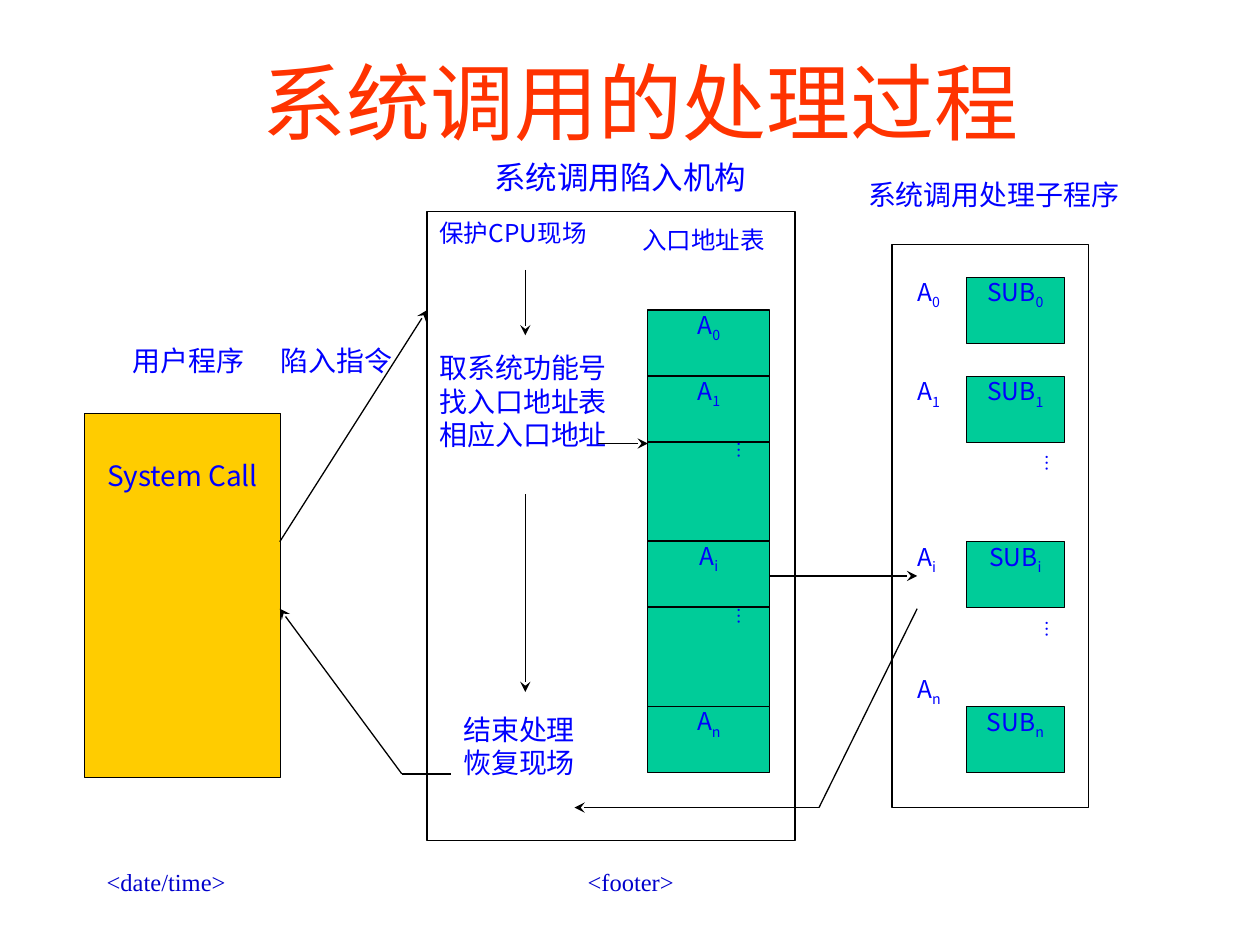
from lxml import etree
from pptx import Presentation
from pptx.dml.color import RGBColor
from pptx.enum.shapes import MSO_CONNECTOR, MSO_SHAPE
from pptx.enum.text import MSO_ANCHOR, PP_ALIGN
from pptx.oxml.ns import qn
from pptx.util import Cm, Pt

STRAIGHT = MSO_CONNECTOR.STRAIGHT
RECTANGLE = MSO_SHAPE.RECTANGLE
TOP, MIDDLE = MSO_ANCHOR.TOP, MSO_ANCHOR.MIDDLE
CENTER, LEFT, JUSTIFY = PP_ALIGN.CENTER, PP_ALIGN.LEFT, PP_ALIGN.JUSTIFY

SANS, SERIF = "Noto Sans CJK JP", "Times New Roman"
COLORS = {"text": "0000FF", "title": "FF3300", "footer": "0000CC",
          "program": "FFCC00", "entry": "00CC99", "line": "000000"}
PADDED = (0.25, 0.13, 0.25, 0.13)
ENTRIES = ("0", "1", "…", "i", "…", "n")
ENTRY_HEIGHT, DOTS_HEIGHT = 1.33, 2.0


def color(name):
    return RGBColor.from_string(COLORS[name])


def write(shape, text, size=16, font=SANS, ink="text", align=JUSTIFY,
          anchor=TOP, insets=(0, 0, 0, 0), vertical=False):
    """Fill a shape with lines of text; "_" starts a subscript."""
    frame = shape.text_frame
    frame.word_wrap = True
    frame.vertical_anchor = anchor
    (frame.margin_left, frame.margin_top,
     frame.margin_right, frame.margin_bottom) = map(Cm, insets)
    if vertical:
        frame._txBody.bodyPr.set("vert", "eaVert")
    for index, line in enumerate(text.split("\n")):
        paragraph = frame.add_paragraph() if index else frame.paragraphs[0]
        paragraph.alignment = align
        base, _, subscript = line.partition("_")
        for part in filter(None, (base, subscript)):
            run = paragraph.add_run()
            run.text = part
            run.font.size = Pt(size)
            run.font.name = font
            run.font.color.rgb = color(ink)
            properties = run._r.get_or_add_rPr()
            etree.SubElement(properties, qn("a:ea")).set("typeface", SANS)
        if subscript:
            properties.set("baseline", "-25000")


def label(slide, left, top, width, height, text, **style):
    box = slide.shapes.add_textbox(Cm(left), Cm(top), Cm(width), Cm(height))
    write(box, text, **style)


def block(slide, left, top, width, height, fill=None):
    shape = slide.shapes.add_shape(
        RECTANGLE, Cm(left), Cm(top), Cm(width), Cm(height))
    shape.shadow.inherit = False
    if fill:
        shape.fill.solid()
        shape.fill.fore_color.rgb = color(fill)
    else:
        shape.fill.background()
    shape.line.color.rgb = color("line")
    shape.line.width = Pt(0.75)
    return shape


def arrow(slide, *points):
    """Join the points with lines and put an arrowhead on the last one."""
    for start, end in zip(points, points[1:]):
        line = slide.shapes.add_connector(STRAIGHT, *map(Cm, start + end))
        line.line.color.rgb = color("line")
        line.line.width = Pt(0.75)
        etree.SubElement(line._element.spPr, qn("a:effectLst"))
    head = etree.SubElement(line.line._get_or_add_ln(), qn("a:tailEnd"))
    head.set("type", "stealth")


def stack_entries(top, first_gap=0):
    """Yield symbol, top and height of each entry from the top down."""
    for index, symbol in enumerate(ENTRIES):
        height = DOTS_HEIGHT if symbol == "…" else ENTRY_HEIGHT
        yield symbol, top, height
        top += height + (0 if index else first_gap)


def user_program(slide, left, top, width, height):
    write(block(slide, left, top, width, height, "program"), "System Call",
          align=CENTER, insets=(0.25, 0.91, 0.25, 0.13))
    label(slide, left + 0.97, top - 1.4, 2.46, 1.32, "用户程序")
    label(slide, left + width, top - 1.4, 2.46, 1.32, "陷入指令")


def address_table(slide, left, top, width):
    for symbol, y, height in stack_entries(top):
        cell = block(slide, left, y, width, height, "entry")
        if symbol == "…":
            write(cell, symbol, size=10, align=CENTER, vertical=True,
                  insets=(0, 0, 0.4, 0))
        else:
            write(cell, f"A_{symbol}", size=14, align=CENTER)


def trap_mechanism(slide, left, top, width, height):
    block(slide, left, top, width, height)
    label(slide, left + 1.35, top - 1.09, 5.28, 0.76, "系统调用陷入机构", size=18)
    label(slide, left, top, 3.96, 2.13, "保护CPU现场", size=14, insets=PADDED)
    label(slide, left + 4.09, top + 0.13, 3.18, 1.24, "入口地址表",
          size=14, insets=PADDED)
    label(slide, left, top + 2.67, 3.96, 3.02,
          "取系统功能号\n找入口地址表\n相应入口地址", insets=PADDED)
    label(slide, left + 0.48, top + 9.96, 2.97, 2.26, "结束处理\n恢复现场",
          insets=PADDED)
    address_table(slide, left + 4.45, top + 1.98, 2.46)
    step_x = left + 1.98
    arrow(slide, (step_x, top + 1.17), (step_x, top + 2.49))
    arrow(slide, (step_x, top + 5.69), (step_x, top + 9.68))
    arrow(slide, (left + 3.45, top + 4.67), (left + 4.45, top + 4.67))


def subroutines(slide, left, top, width, height):
    block(slide, left, top, width, height)
    label(slide, left - 0.48, top - 1.35, 5.36, 1.35, "系统调用处理子程序")
    sub_left, sub_width = left + 1.5, 1.98
    for symbol, y, entry_height in stack_entries(top + 0.66, first_gap=0.67):
        if symbol == "…":
            label(slide, sub_left, y, sub_width, entry_height, symbol, size=10,
                  align=CENTER, vertical=True, insets=(0.13, 0.25, 0.13, 0.25))
            continue
        write(block(slide, sub_left, y, sub_width, entry_height, "entry"),
              f"SUB_{symbol}", size=14, align=CENTER)
        raised = 0.66 if symbol == "n" else 0
        label(slide, left + 0.51, y - raised, 0.99, entry_height,
              f"A_{symbol}", size=14)


def control_flow(slide):
    """Draw the arrows that run between the three regions."""
    arrow(slide, (5.64, 10.92), (8.61, 6.25))
    arrow(slide, (15.52, 11.61), (18.49, 11.61))
    arrow(slide, (18.49, 12.27), (16.51, 16.28), (11.58, 16.28))
    arrow(slide, (9.09, 15.6), (8.1, 15.6), (5.64, 12.27))


def footer(slide, top, height):
    style = {"size": 14, "font": SERIF, "ink": "footer", "insets": PADDED}
    label(slide, 1.9, top, 5.28, height, "<date/time>", align=LEFT, **style)
    label(slide, 8.69, top, 8.05, height, "<footer>", align=CENTER, **style)


def main():
    presentation = Presentation()
    presentation.slide_width, presentation.slide_height = Cm(25.4), Cm(19.05)
    slide = presentation.slides.add_slide(presentation.slide_layouts[6])
    label(slide, 3.61, 0.66, 18.62, 2.74, "系统调用的处理过程", size=48,
          font=SERIF, ink="title", align=CENTER, anchor=MIDDLE, insets=PADDED)
    user_program(slide, 1.7, 8.33, 3.96, 7.34)
    trap_mechanism(slide, 8.61, 4.27, 7.42, 12.67)
    subroutines(slide, 17.98, 4.93, 3.96, 11.35)
    control_flow(slide)
    footer(slide, 17.35, 1.27)
    presentation.save("out.pptx")


if __name__ == "__main__":
    main()
